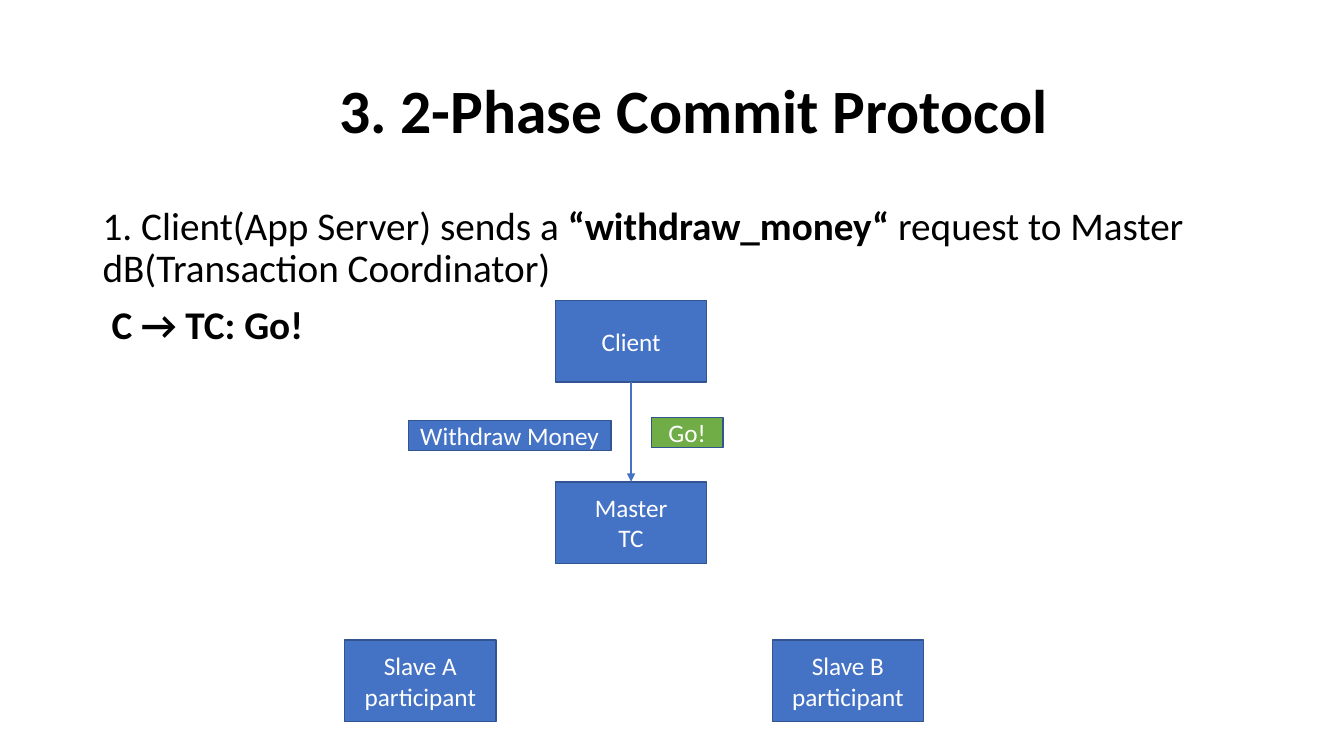
from dataclasses import dataclass
from typing import NamedTuple

from lxml import etree
from pptx import Presentation
from pptx import util as u
from pptx.dml.color import RGBColor
from pptx.enum import shapes, text
from pptx.oxml.ns import qn


@dataclass(frozen=True)
class Theme:
    font: str = "Calibri"
    ink: str = "000000"
    pale: str = "FFFFFF"
    blue: str = "4472C4"
    green: str = "70AD47"
    edge: str = "325491"
    head: int = 44
    body: int = 28
    label: int = 18


class Area(NamedTuple):
    """Left, top, width and height in percent of the slide's size."""
    left: float
    top: float
    width: float
    height: float


class Run(NamedTuple):
    words: str
    bold: bool = False


class Para(NamedTuple):
    runs: list[Run]
    indent: float = 0  # percent of the slide's width
    before: int = 0


@dataclass(frozen=True)
class Box:
    area: Area
    lines: list[str]
    fill: str


LOOK = Theme()
WIDE, HIGH = u.Inches(13.33), u.Inches(7.5)
NODE_W, NODE_H = 11.25, 10.8
MID, LOW = 41.33, 84.67


def node(left: float, top: float, *lines: str) -> Box:
    return Box(Area(left, top, NODE_W, NODE_H), list(lines), LOOK.blue)


CLIENT = node(MID, 39.73, "Client")
MASTER = node(MID, 63.73, "Master", "TC")
OTHERS = [
    node(25.65, LOW, "Slave A", "participant"),
    node(57.46, LOW, "Slave B", "participant"),
    Box(Area(48.46, 55.2, 5.33, 4), ["Go!"], LOOK.green),
    Box(Area(30.38, 55.6, 15.08, 4), ["Withdraw Money"], LOOK.blue),
]

TITLE = [Para([Run("3. 2-Phase Commit Protocol", True)], 17.6)]
STEPS = [
    Para([
        Run("1. Client(App Server) sends a "),
        Run("“withdraw_money“", True),
        Run(" request to Master dB(Transaction Coordinator)"),
    ]),
    Para([Run("C → TC: Go!", True)], 0.66, 10),
]


def place(area: Area) -> tuple[int, int, int, int]:
    """Turn percent shares into slide lengths."""
    return (round(area.left * WIDE / 100), round(area.top * HIGH / 100),
            round(area.width * WIDE / 100), round(area.height * HIGH / 100))


def add_run(para, run: Run, size: int, tint: str) -> None:
    part = para.add_run()
    part.text = run.words
    part.font.name = LOOK.font
    part.font.size = u.Pt(size)
    part.font.bold = run.bold
    part.font.color.rgb = RGBColor.from_string(tint)


def add_text(slide, area: Area, paras: list[Para], size: int,
             anchor: text.MSO_ANCHOR) -> None:
    frame = slide.shapes.add_textbox(*place(area)).text_frame
    frame.word_wrap = True
    frame.vertical_anchor = anchor
    for i, item in enumerate(paras):
        para = frame.add_paragraph() if i else frame.paragraphs[0]
        para.line_spacing = 0.9
        if item.before:
            para.space_before = u.Pt(item.before)
        if item.indent:
            props = para._p.get_or_add_pPr()
            props.set("marL", str(round(item.indent * WIDE / 100)))
        for run in item.runs:
            add_run(para, run, size, LOOK.ink)


def add_box(slide, box: Box):
    shape = slide.shapes.add_shape(shapes.MSO_SHAPE.RECTANGLE, *place(box.area))
    shape.shadow.inherit = False
    shape.fill.solid()
    shape.fill.fore_color.rgb = RGBColor.from_string(box.fill)
    shape.line.color.rgb = RGBColor.from_string(LOOK.edge)
    shape.line.width = u.Pt(1)
    frame = shape.text_frame
    frame.word_wrap = True
    frame.vertical_anchor = text.MSO_ANCHOR.MIDDLE
    for i, line in enumerate(box.lines):
        para = frame.add_paragraph() if i else frame.paragraphs[0]
        para.alignment = text.PP_ALIGN.CENTER
        add_run(para, Run(line), LOOK.label, LOOK.pale)
    return shape


def add_arrow(slide, start, end) -> None:
    """Join the bottom of one box to the top of the next."""
    arrow = slide.shapes.add_connector(shapes.MSO_CONNECTOR.STRAIGHT, 0, 0, 0, 0)
    arrow.begin_connect(start, 2)
    arrow.end_connect(end, 0)
    arrow.line.color.rgb = RGBColor.from_string(LOOK.blue)
    arrow.line.width = u.Pt(1.5)
    etree.SubElement(arrow.line._get_or_add_ln(), qn("a:tailEnd"), type="triangle")
    etree.SubElement(arrow._element.spPr, qn("a:effectLst"))


def main() -> None:
    deck = Presentation()
    deck.slide_width, deck.slide_height = WIDE, HIGH
    slide = deck.slides.add_slide(deck.slide_layouts[6])
    add_text(slide, Area(6.9, 5.33, 86.27, 19.33), TITLE, LOOK.head,
             text.MSO_ANCHOR.MIDDLE)
    add_text(slide, Area(6.9, 26.67, 86.27, 63.47), STEPS, LOOK.body,
             text.MSO_ANCHOR.TOP)
    master = add_box(slide, MASTER)
    client = add_box(slide, CLIENT)
    add_arrow(slide, client, master)
    for box in OTHERS:
        add_box(slide, box)
    deck.save("out.pptx")


if __name__ == "__main__":
    main()
